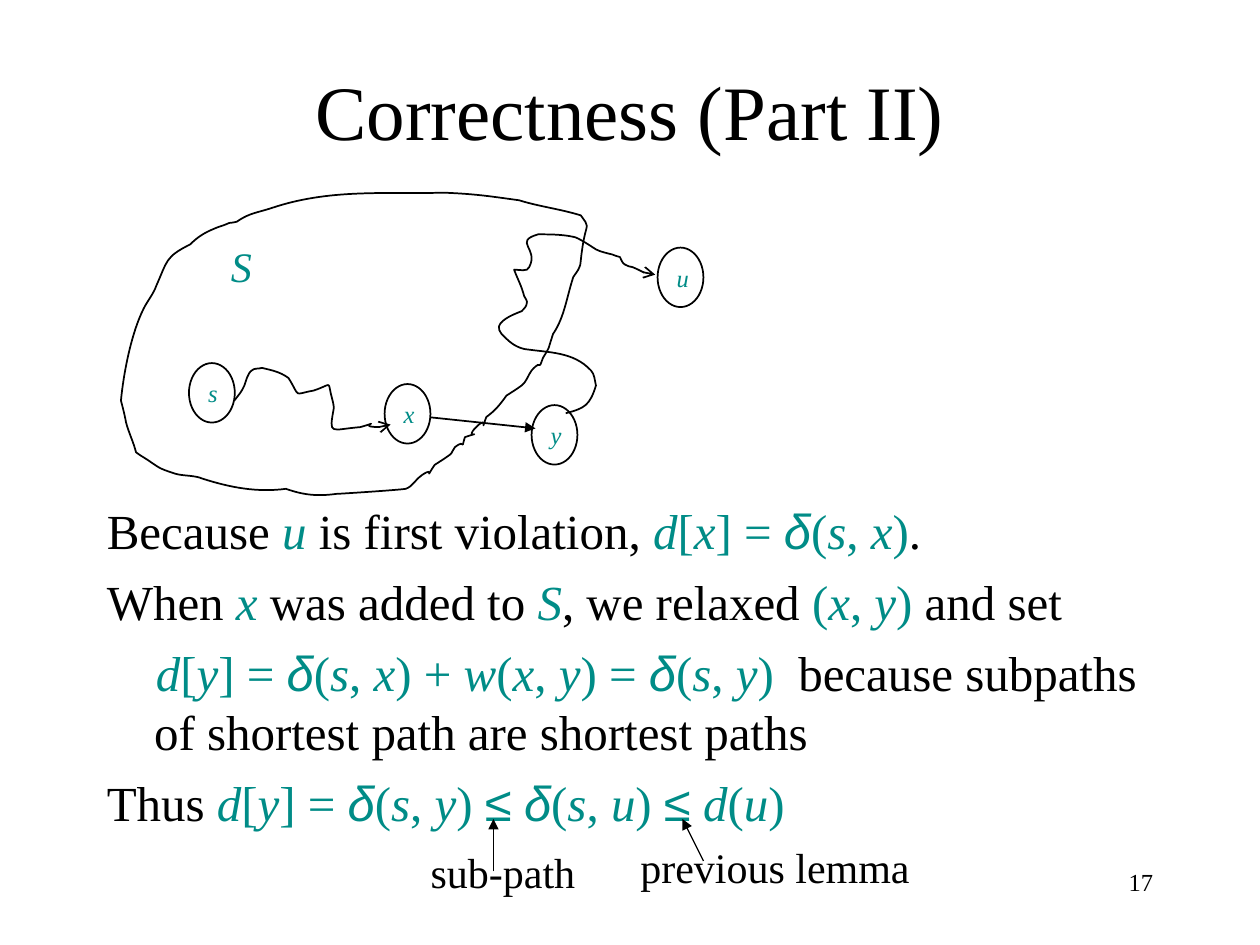
from itertools import groupby

from lxml import etree
from pptx import Presentation
from pptx.dml.color import RGBColor
from pptx.enum.shapes import MSO_CONNECTOR, MSO_SHAPE
from pptx.enum.text import MSO_ANCHOR, PP_ALIGN
from pptx.oxml.ns import qn
from pptx.util import Pt

LEFT, CENTER, RIGHT = PP_ALIGN.LEFT, PP_ALIGN.CENTER, PP_ALIGN.RIGHT
TOP, MIDDLE = MSO_ANCHOR.TOP, MSO_ANCHOR.MIDDLE
OVAL, STRAIGHT = MSO_SHAPE.OVAL, MSO_CONNECTOR.STRAIGHT

COLORS = {"ink": "000000", "math": "008C87"}
TEXT_FONT, SYMBOL_FONT = "Times New Roman", "Arial"
SYMBOLS = "δ≤"

# Content: mathematics stands between bars; its letters are italic
# Labels: text, left, top, width, height, size, alignment, anchor, wrap
TITLE = ("Correctness (Part II)", 54, 17.5, 612, 90, 44, CENTER, MIDDLE, True)
LABELS = [
    ("|S|", 124.8, 133.92, 26, 36, 24, LEFT, TOP, False),
    ("sub-path", 239, 480.24, 97, 36, 24, LEFT, TOP, False),
    ("previous lemma", 358.8, 477.36, 168.5, 36, 24, LEFT, TOP, False),
    ("17", 516, 492, 150, 36, 14, RIGHT, TOP, True),
]

# Proof lines: text, first-line indent
PROOF = [
    ("Because |u| is first violation, |d[x] = δ(s, x)|.", -27),
    ("When |x| was added to |S|, we relaxed |(x, y)| and set", -27),
    ("|d[y] = δ(s, x) + w(x, y) = δ(s, y)|  because subpaths "
     "of shortest path are shortest paths", 1),
    ("Thus |d[y] = δ(s, y) ≤ δ(s, u) ≤ d(u)|", -27),
]
PROOF_BOX = (54, 120, 612, 360)
PROOF_INSET = 165.9  # leaves room for the drawing
PROOF_SIZE, PROOF_GAP, PROOF_MARGIN = 28, 7, 27

# Vertices: left and top
VERTICES = {"s": (108, 207.5), "x": (219.8, 219.5),
            "y": (303.8, 231.5), "u": (375.8, 141.5)}
VERTEX_SIZE = (26.2, 34)

# Arrows: start, end, line width
ARROWS = [
    ((246, 238.5), (306, 244.8), 1),
    ((282, 498), (282, 468), 0.75),
    ((402, 492), (390, 468), 0.75),
]

# Curves: start, then two control points and an end for each Bezier piece,
# counted in units of 0.72 pt
UNIT = 0.72
PATH_S_TO_X = (186, 318), [
    (189, 314, 192, 311, 194, 306), (195, 304, 195, 302, 196, 300),
    (197, 298, 198, 295, 200, 294), (202, 292, 205, 293, 208, 292),
    (216, 294, 222, 295, 229, 300), (239, 316, 232, 313, 249, 310),
    (264, 305, 260, 302, 263, 314), (264, 318, 265, 321, 265, 324),
    (261, 346, 262, 341, 286, 339), (307, 333, 280, 339, 302, 339),
    (305, 339, 310, 337, 310, 337),
]
PATH_Y_TO_U = (449, 328), [
    (464, 324, 468, 322, 473, 306), (472, 302, 472, 297, 469, 294),
    (455, 279, 436, 280, 416, 277), (408, 275, 404, 271, 398, 265),
    (397, 263, 395, 261, 396, 259), (398, 253, 409, 249, 414, 247),
    (416, 245, 418, 243, 418, 241), (419, 239, 417, 237, 416, 235),
    (414, 227, 411, 222, 408, 214), (412, 214, 419, 216, 420, 212),
    (428, 197, 407, 192, 427, 186), (436, 186, 446, 186, 455, 188),
    (458, 188, 470, 196, 473, 198), (477, 200, 482, 201, 486, 202),
    (488, 203, 492, 204, 492, 204), (493, 206, 494, 209, 496, 210),
    (498, 212, 500, 211, 502, 212), (509, 215, 512, 218, 520, 218),
]
REGION_S = (227, 388), [
    (204, 391, 183, 387, 161, 380), (154, 377, 146, 378, 139, 376),
    (124, 371, 128, 372, 114, 363), (112, 362, 108, 359, 108, 359),
    (106, 351, 102, 343, 100, 335), (99, 329, 96, 318, 96, 318),
    (98, 297, 104, 265, 114, 245), (117, 239, 122, 233, 124, 227),
    (133, 207, 131, 204, 151, 194), (157, 188, 162, 185, 169, 182),
    (173, 180, 178, 179, 182, 177), (184, 177, 188, 176, 188, 176),
    (198, 169, 204, 169, 216, 165), (261, 150, 303, 154, 353, 153),
    (378, 154, 390, 156, 412, 159), (428, 164, 445, 166, 461, 171),
    (468, 181, 466, 176, 463, 192), (459, 216, 463, 208, 455, 220),
    (450, 235, 448, 252, 439, 265), (434, 280, 437, 274, 431, 284),
    (426, 297, 432, 283, 422, 294), (419, 298, 418, 303, 414, 306),
    (410, 309, 402, 314, 402, 314), (397, 321, 393, 326, 386, 331),
    (380, 347, 389, 328, 378, 339), (367, 350, 386, 341, 369, 347),
    (365, 360, 371, 347, 361, 355), (359, 357, 359, 360, 357, 361),
    (353, 364, 345, 369, 345, 369), (335, 384, 347, 369, 335, 377),
    (330, 380, 328, 386, 322, 388), (316, 389, 269, 392, 267, 392),
    (252, 394, 241, 393, 227, 388),
]
# Curve, closed, arrowhead
CURVES = [(PATH_S_TO_X, False, "arrow"), (PATH_Y_TO_U, False, "arrow"),
          (REGION_S, True, None)]


def set_values(target, values):
    for name, value in values.items():
        setattr(target, name, value)


def points(*lengths):
    return [Pt(length) for length in lengths]


def write(paragraph, text, size):
    for index, part in enumerate(text.split("|")):
        is_math = index % 2 == 1
        styles = groupby(part, lambda c: (is_math and c.isalpha(), c in SYMBOLS))
        for (italic, is_symbol), characters in styles:
            run = paragraph.add_run()
            run.text = "".join(characters)
            set_values(run.font, {"size": Pt(size), "italic": italic,
                                  "name": SYMBOL_FONT if is_symbol else TEXT_FONT})
            run.font.color.rgb = RGBColor.from_string(COLORS["math" if is_math else "ink"])


def add_label(shapes, text, left, top, width, height, size, alignment, anchor, wrap):
    frame = shapes.add_textbox(*points(left, top, width, height)).text_frame
    set_values(frame, {"word_wrap": wrap, "vertical_anchor": anchor})
    frame.paragraphs[0].alignment = alignment
    write(frame.paragraphs[0], text, size)


def draw_line(shape, width, head=None):
    shape.line.color.rgb = RGBColor.from_string(COLORS["ink"])
    shape.line.width = Pt(width)
    if head:
        line = shape.line._get_or_add_ln()
        etree.SubElement(line, qn("a:tailEnd"), type=head)


def outline(shape, head=None):
    shape.shadow.inherit = False
    shape.fill.background()
    draw_line(shape, 1, head)


def add_curve(shapes, start, pieces, closed):
    """Lay the control points as a polyline, then join each three as a Bezier."""
    builder = shapes.build_freeform(*start, scale=Pt(UNIT))
    for piece in pieces:
        builder.add_line_segments(zip(piece[::2], piece[1::2]), close=False)
    if closed:
        builder.add_line_segments([], close=True)
    shape = builder.convert_to_shape()
    segments = list(shape._element.iter(qn("a:lnTo")))
    for first, second, third in zip(segments[::3], segments[1::3], segments[2::3]):
        bezier = etree.Element(qn("a:cubicBezTo"))
        first.addprevious(bezier)
        for segment in (first, second, third):
            bezier.append(segment[0])
            segment.getparent().remove(segment)
    return shape


presentation = Presentation()
set_values(presentation, {"slide_width": Pt(720), "slide_height": Pt(540)})
slide = presentation.slides.add_slide(presentation.slide_layouts[6])
shapes = slide.shapes

# Title
add_label(shapes, *TITLE)

# Proof
frame = shapes.add_textbox(*points(*PROOF_BOX)).text_frame
set_values(frame, {"word_wrap": True, "margin_top": Pt(PROOF_INSET)})
for index, (text, indent) in enumerate(PROOF):
    paragraph = frame.add_paragraph() if index else frame.paragraphs[0]
    paragraph.space_before = Pt(PROOF_GAP if index else 0)
    properties = paragraph._p.get_or_add_pPr()
    properties.set("marL", str(Pt(PROOF_MARGIN)))
    properties.set("indent", str(Pt(indent)))
    write(paragraph, text, PROOF_SIZE)

# Vertices
for name, corner in VERTICES.items():
    vertex = shapes.add_shape(OVAL, *points(*corner, *VERTEX_SIZE))
    outline(vertex)
    set_values(vertex.text_frame, {"word_wrap": True, "vertical_anchor": MIDDLE})
    paragraph = vertex.text_frame.paragraphs[0]
    paragraph.alignment = CENTER
    write(paragraph, f"|{name}|", 14)

# Paths and region
for (start, pieces), closed, head in CURVES:
    outline(add_curve(shapes, start, pieces, closed), head)

# Straight arrows
for start, end, width in ARROWS:
    arrow = shapes.add_connector(STRAIGHT, *points(*start, *end))
    draw_line(arrow, width, "triangle")
    etree.SubElement(arrow._element.spPr, qn("a:effectLst"))

# Labels and slide number
for label in LABELS:
    add_label(shapes, *label)

presentation.save("out.pptx")
